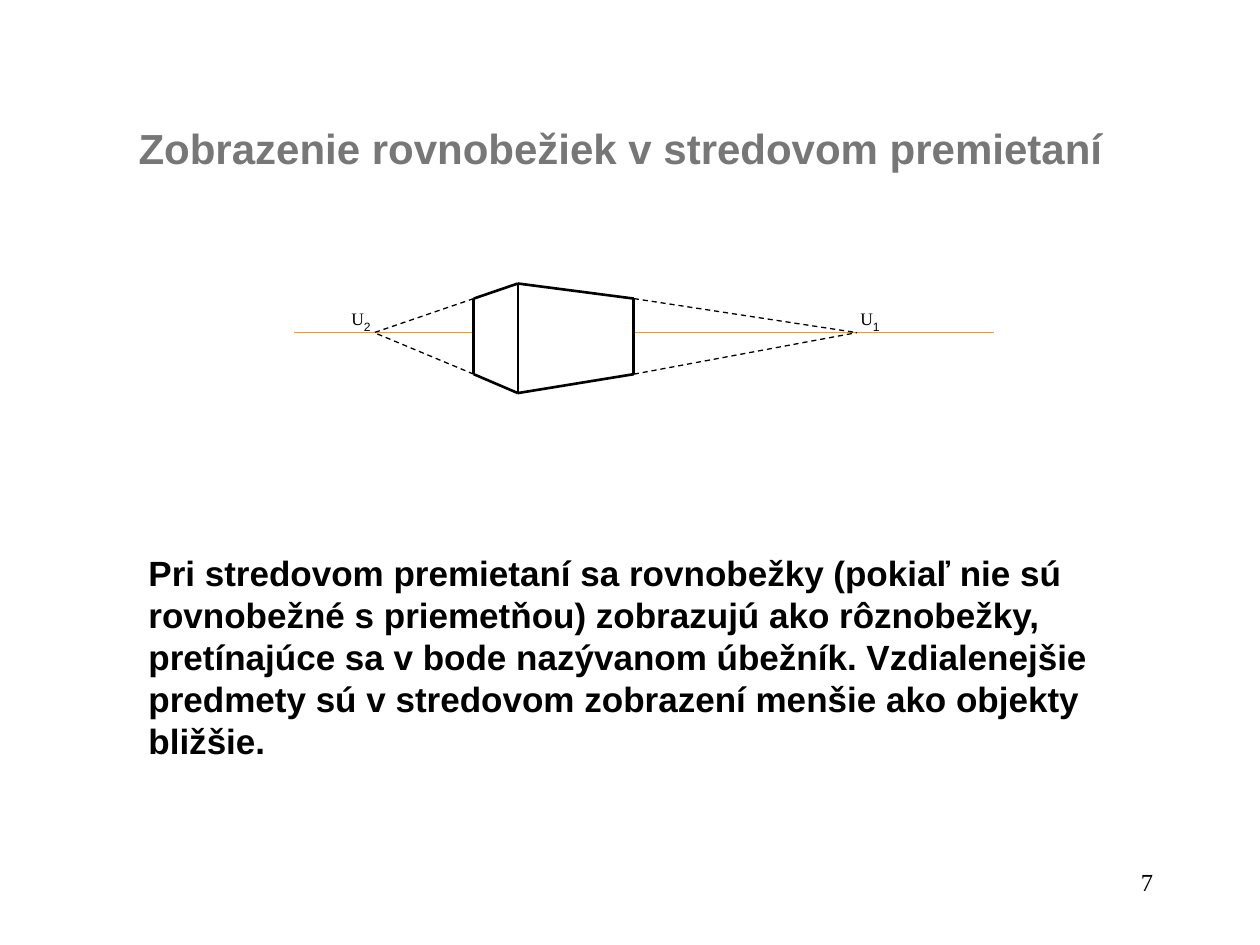
"""Build a slide on how parallel lines look in central projection."""
from lxml import etree
from pptx import Presentation
from pptx import util as u
from pptx.dml.color import RGBColor
from pptx.enum import dml, shapes, text
from pptx.oxml.ns import qn

BLACK = RGBColor(0x00, 0x00, 0x00)
WHITE = RGBColor(0xFF, 0xFF, 0xFF)
GREY = RGBColor(0x77, 0x77, 0x77)
ORANGE = RGBColor(0xFF, 0x99, 0x00)


def write(box, words, size, font="Arial", color=BLACK, bold=False,
          align=text.PP_ALIGN.LEFT, subscript=""):
    frame = box.text_frame
    frame.word_wrap = True
    frame.auto_size = text.MSO_AUTO_SIZE.NONE
    frame.vertical_anchor = text.MSO_ANCHOR.TOP
    para = frame.paragraphs[0]
    para.alignment = align
    runs = [(words, size, font)]
    if subscript:
        runs.append((subscript, 12, "Arial"))
    for content, points, name in runs:
        span = para.add_run()
        span.text = content
        span.font.size = u.Pt(points)
        span.font.name = name
        span.font.bold = bold
        span.font.color.rgb = color
    if subscript:
        span.font._element.set("baseline", "-25000")


def draw_line(start, end, color=BLACK, width=0.75, dashed=False):
    line = page.shapes.add_connector(
        shapes.MSO_CONNECTOR.STRAIGHT, *map(u.Inches, start + end))
    line.line.color.rgb = color
    line.line.width = u.Pt(width)
    if dashed:
        line.line.dash_style = dml.MSO_LINE.DASH
    etree.SubElement(line._element.spPr, qn("a:effectLst"))


deck = Presentation()
deck.slide_width, deck.slide_height = u.Inches(10), u.Inches(7.5)
page = deck.slides.add_slide(deck.slide_layouts[5])

title = page.shapes.title
title.left, title.top = u.Inches(1), u.Inches(0.92)
title.width, title.height = u.Inches(8), u.Inches(0.5)
write(title, "Zobrazenie rovnobežiek v stredovom premietaní", 24,
      color=GREY, bold=True)

for left, width, index in [(2.69, 0.49, "2"), (6.73, 0.44, "1")]:
    label = page.shapes.add_shape(
        shapes.MSO_SHAPE.RECTANGLE, u.Inches(left), u.Inches(2.37),
        u.Inches(width), u.Inches(0.39))
    label.shadow.inherit = False
    label.fill.solid()
    label.fill.fore_color.rgb = WHITE
    label.line.fill.background()
    write(label, "U", 10, font="Times New Roman", subscript=index)

horizon = 2.64
near_top, near_bottom = (4.11, 2.25), (4.11, 3.12)
draw_line(near_top, near_bottom, width=1.5)
for side, vanishing, horizon_end in [(5.03, 6.8, 7.89), (3.76, 2.97, 2.33)]:
    far_top, far_bottom = (side, 2.37), (side, 2.97)
    draw_line((side, horizon), (horizon_end, horizon), color=ORANGE)
    draw_line(far_top, far_bottom, width=1.5)
    for near, far in [(near_top, far_top), (near_bottom, far_bottom)]:
        draw_line(near, far, width=1.5)
        draw_line(far, (vanishing, horizon), dashed=True)

body = page.shapes.add_textbox(
    u.Inches(1.08), u.Inches(4.33), u.Inches(8.17), u.Inches(1.77))
write(body, "Pri stredovom premietaní sa rovnobežky (pokiaľ nie sú rovnobežné "
      "s priemetňou) zobrazujú ako rôznobežky, pretínajúce sa v bode nazývanom "
      "úbežník. Vzdialenejšie predmety sú v stredovom zobrazení menšie ako "
      "objekty bližšie.", 20, bold=True)

number = page.shapes.add_textbox(
    u.Inches(7.17), u.Inches(6.83), u.Inches(2.08), u.Inches(0.5))
write(number, "7", 14, font="Times New Roman", align=text.PP_ALIGN.RIGHT)

deck.save("out.pptx")
